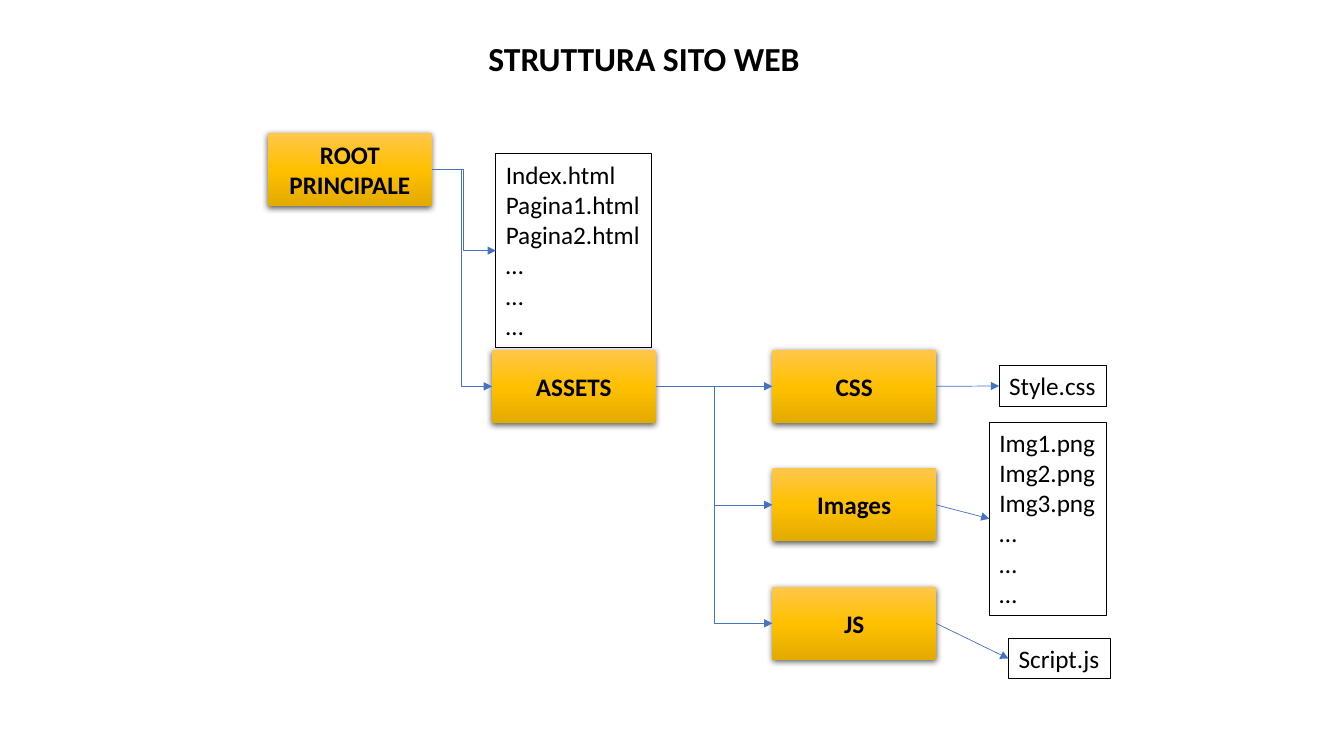
from copy import deepcopy
from lxml import etree
from pptx import Presentation
from pptx.dml.color import RGBColor
from pptx.enum import shapes, text
from pptx.oxml import parse_xml
from pptx.oxml.ns import nsdecls, qn
from pptx.util import Pt

FOLDER_W, FOLDER_H = 116.8, 52
LINE_H, PAD = 21.8, 7.2
LEFT, RIGHT = 1, 3
GOLD = ("FFC64B", "FFC000", "E3AB00")


def rgb(code):
    return RGBColor.from_string(code)


def set_attrs(obj, values):
    for name, value in values.items():
        setattr(obj, name, value)


def write(sp, lines, frame, para, font):
    tf = sp.text_frame
    tf.text = "\n".join(lines)
    set_attrs(tf, frame)
    for p in tf.paragraphs:
        set_attrs(p, para)
        for r in p.runs:
            set_attrs(r.font, {"name": "Calibri", **font})
            r.font.color.rgb = rgb("000000")


def add_title(s, x, y, w, h, title):
    sp = s.shapes.title
    set_attrs(sp, {"left": Pt(x), "top": Pt(y), "width": Pt(w), "height": Pt(h)})
    write(sp, [title],
          {"vertical_anchor": text.MSO_ANCHOR.TOP, "auto_size": text.MSO_AUTO_SIZE.NONE},
          {"alignment": text.PP_ALIGN.CENTER, "line_spacing": 0.8},
          {"size": Pt(24), "bold": True})


def paint_gold(sp):
    sp.fill.gradient()
    sp.fill.gradient_angle = 270
    stops = sp._element.spPr.find(qn("a:gradFill")).find(qn("a:gsLst"))
    stops.insert(1, deepcopy(stops[0]))
    for i, (stop, code) in enumerate(zip(sp.fill.gradient_stops, GOLD)):
        stop.position = i / 2
        stop.color.rgb = rgb(code)
    sp.line.fill.background()
    sp._element.spPr.append(parse_xml(
        f'<a:effectLst {nsdecls("a")}>'
        '<a:outerShdw blurRad="57150" dist="19050" dir="5400000" algn="ctr" rotWithShape="0">'
        '<a:srgbClr val="000000"><a:alpha val="63000"/></a:srgbClr>'
        '</a:outerShdw></a:effectLst>'))


def add_folder(s, x, y, name):
    sp = s.shapes.add_shape(shapes.MSO_SHAPE.FLOWCHART_PROCESS,
                            Pt(x), Pt(y), Pt(FOLDER_W), Pt(FOLDER_H))
    paint_gold(sp)
    write(sp, [name], {"word_wrap": True, "vertical_anchor": text.MSO_ANCHOR.MIDDLE},
          {"alignment": text.PP_ALIGN.CENTER}, {"size": Pt(18), "bold": True})
    return sp


def add_files(s, x, y, w, names):
    sp = s.shapes.add_textbox(Pt(x), Pt(y), Pt(w), Pt(len(names) * LINE_H + PAD))
    sp.line.color.rgb = rgb("000000")
    sp.line.width = Pt(0.75)
    write(sp, names,
          {"word_wrap": False, "auto_size": text.MSO_AUTO_SIZE.SHAPE_TO_FIT_TEXT},
          {"alignment": text.PP_ALIGN.LEFT}, {"size": Pt(18)})
    return sp


def connect(s, start, end, kind):
    line = s.shapes.add_connector(kind, 0, 0, 0, 0)
    line.begin_connect(start, RIGHT)
    line.end_connect(end, LEFT)
    line.line.color.rgb = rgb("4472C4")
    line.line.width = Pt(0.5)
    etree.SubElement(line.line._get_or_add_ln(), qn("a:tailEnd"), type="triangle")
    etree.SubElement(line._element.spPr, qn("a:effectLst"))


def add_site_tree(s, x, y):
    straight, elbow = shapes.MSO_CONNECTOR.STRAIGHT, shapes.MSO_CONNECTOR.ELBOW
    more = ["…"] * 3
    assets_y = y + 155
    root = add_folder(s, x, y, "ROOT PRINCIPALE")
    assets = add_folder(s, x + 160, assets_y, "ASSETS")
    pages = add_files(s, x + 162.7, y + 15, 111.2,
                      ["Index.html", "Pagina1.html", "Pagina2.html", *more])
    connect(s, root, pages, elbow)
    connect(s, root, assets, elbow)

    branches = [
        ("CSS", 522.2, 166.2, 77, ["Style.css"]),
        ("Images", 515.3, 206.5, 83.5, ["Img1.png", "Img2.png", "Img3.png", *more]),
        ("JS", 529, 361, 72.7, ["Script.js"]),
    ]
    for i, (name, dx, dy, w, names) in enumerate(branches):
        folder = add_folder(s, x + 360.3, assets_y + i * 84.6, name)
        connect(s, assets, folder, elbow if i else straight)
        files = add_files(s, x + dx, y + dy, w, names)
        connect(s, folder, files, straight)


def main():
    prs = Presentation()
    prs.slide_width, prs.slide_height = Pt(960), Pt(540)
    s = prs.slides.add_slide(prs.slide_layouts[5])
    add_title(s, 100, 28.8, 720, 33, "STRUTTURA SITO WEB")
    add_site_tree(s, 191.5, 95)
    prs.save("out.pptx")


if __name__ == "__main__":
    main()
